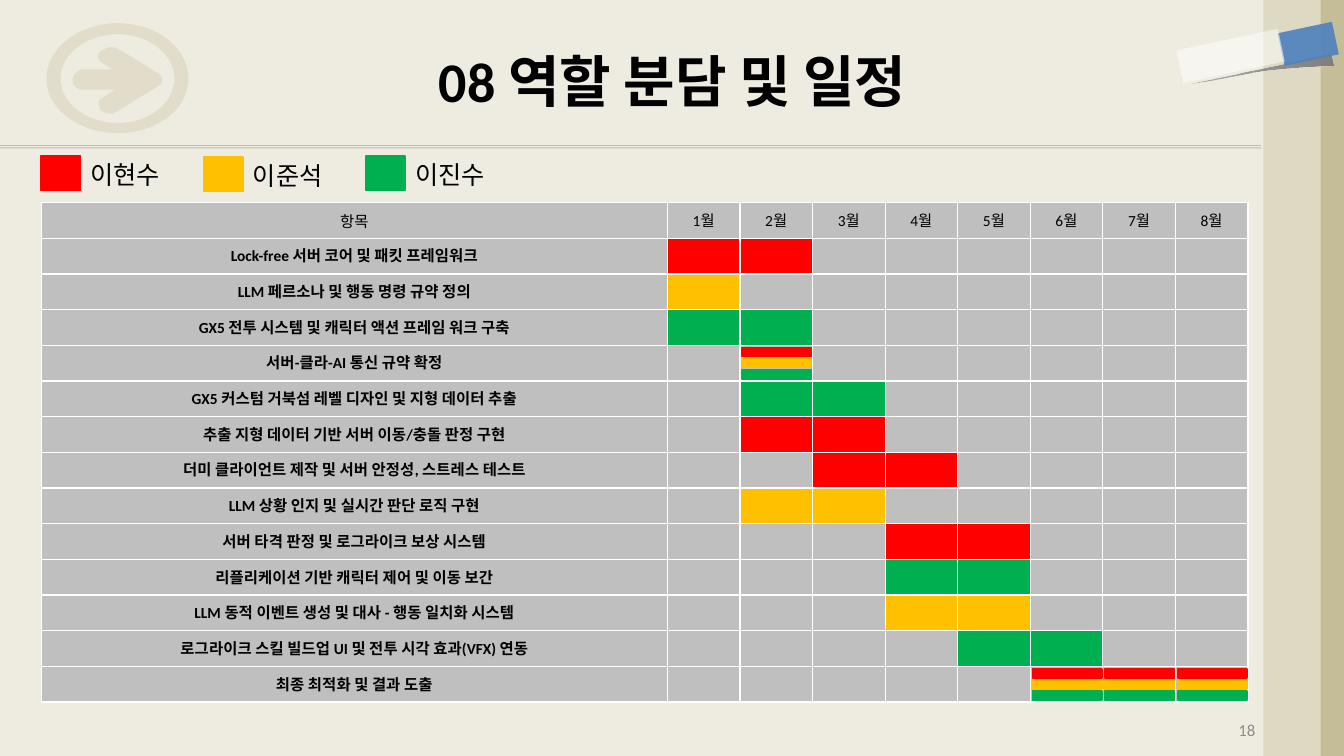
from lxml.etree import SubElement
from pptx import Presentation
from pptx.dml.color import RGBColor
from pptx.enum.shapes import MSO_CONNECTOR, MSO_SHAPE
from pptx.enum.text import MSO_ANCHOR, PP_ALIGN
from pptx.oxml import parse_xml
from pptx.oxml.ns import nsdecls, qn
from pptx.util import Inches, Pt

COLOURS = {
    "paper": "EEECE1", "sand": "DDD9C3", "khaki": "C4BD97", "blue": "4F81BD",
    "white": "FFFFFF", "black": "000000", "shade": "808080", "number": "8C8C8C",
    "cell": "BFBFBF", "red": "FF0000", "amber": "FFC000", "green": "00B050",
}


def write(frame, text, size, colour="black", font="Calibri", bold=False,
          align=PP_ALIGN.LEFT, anchor=None):
    frame.word_wrap = True
    if anchor is not None:
        frame.vertical_anchor = anchor
    paragraph = frame.paragraphs[0]
    paragraph.alignment = align
    run = paragraph.add_run()
    run.text = text
    run.font.name = font
    run.font.size = Pt(size)
    run.font.bold = bold
    run.font.color.rgb = RGBColor.from_string(COLOURS[colour])
    SubElement(run.font._element, qn("a:ea"), typeface=font)


def paint(shape, colour, opacity=100, outline=0, rotation=0):
    shape.shadow.inherit = False
    shape.rotation = rotation
    shape.fill.solid()
    shape.fill.fore_color.rgb = RGBColor.from_string(COLOURS[colour])
    if opacity < 100:
        tint = shape._element.spPr.find(qn("a:solidFill"))[0]
        SubElement(tint, qn("a:alpha"), val=str(opacity * 1000))
    if outline:
        shape.line.color.rgb = RGBColor.from_string(COLOURS[colour])
        shape.line.width = Pt(outline)
    else:
        shape.line.fill.background()


deck = Presentation()
deck.slide_width = Inches(13.33)
deck.slide_height = Inches(7.5)
slide = deck.slides.add_slide(deck.slide_layouts[5])
slide.background.fill.solid()
slide.background.fill.fore_color.rgb = RGBColor.from_string(COLOURS["paper"])

header_rule = slide.shapes.add_connector(
    MSO_CONNECTOR.STRAIGHT, 0, Inches(1.44), Inches(12.51), Inches(1.44))
header_rule.line.color.rgb = RGBColor.from_string(COLOURS["khaki"])
header_rule.line.width = Pt(0.75)
header_rule._element.spPr.append(parse_xml(
    f'<a:effectLst {nsdecls("a")}><a:outerShdw blurRad="0" dist="{Pt(2)}" dir="5400000">'
    f'<a:srgbClr val="{COLOURS["black"]}"><a:alpha val="22000"/></a:srgbClr>'
    '</a:outerShdw></a:effectLst>'))

ARROW = [[
    (1.57, 0.73), (1.49, 0.68, 1.23, 0.51, 1.13, 0.47), (1.07, 0.46, 1.06, 0.48, 1.01, 0.5),
    (0.97, 0.52, 0.96, 0.57, 0.99, 0.61), (1.12, 0.69), (0.81, 0.69),
    (0.74, 0.71, 0.72, 0.76, 0.72, 0.79), (0.71, 0.83, 0.74, 0.88, 0.81, 0.89),
    (1.14, 0.89), (0.99, 0.99), (0.97, 1.02, 0.98, 1.07, 1, 1.09),
    (1.02, 1.11, 1.06, 1.13, 1.12, 1.13), (1.35, 0.99, 1.58, 0.85, 1.58, 0.85),
    (1.61, 0.82, 1.61, 0.81, 1.61, 0.79), (1.61, 0.77, 1.6, 0.75, 1.57, 0.73),
]]
RING = [
    [(1.17, 0.23), (1.56, 0.23, 1.87, 0.48, 1.87, 0.78), (1.87, 1.08, 1.56, 1.32, 1.17, 1.32),
     (0.78, 1.32, 0.46, 1.08, 0.46, 0.78), (0.46, 0.48, 0.78, 0.23, 1.17, 0.23)],
    [(1.17, 0.34), (0.85, 0.34, 0.6, 0.54, 0.6, 0.78), (0.6, 1.02, 0.85, 1.22, 1.17, 1.22),
     (1.48, 1.22, 1.73, 1.02, 1.73, 0.78), (1.73, 0.54, 1.48, 0.34, 1.17, 0.34)],
]
PEN_SHADOW = [[
    (13.2, 0.53), (13.23, 0.65), (12.38, 0.68, 12.2, 0.78, 11.8, 0.83),
    (12.27, 0.73, 12.73, 0.64, 13.2, 0.53),
]]

for left, width, colour in [(12.55, 0.78, "khaki"), (12.53, 0.57, "sand")]:
    side_band = slide.shapes.add_shape(
        MSO_SHAPE.RECTANGLE, Inches(left), 0, Inches(width), deck.slide_height)
    paint(side_band, colour)

for contours, colour, opacity in [
        (ARROW, "khaki", 30), (RING, "khaki", 30), (PEN_SHADOW, "shade", 100)]:
    start_x, start_y = map(Inches, contours[0][0])
    builder = slide.shapes.build_freeform(start_x, start_y, scale=1.0)
    for index, contour in enumerate(contours):
        if index:
            builder.move_to(*map(Inches, contour[0]))
        builder.add_line_segments([
            (Inches(x), Inches(y)) for segment in contour[1:]
            for x, y in zip(segment[::2], segment[1::2])])
    emblem = builder.convert_to_shape()
    paint(emblem, colour, opacity)
    segments = [segment for contour in contours for segment in contour[1:]]
    nodes = iter(list(emblem._element.iter(qn("a:lnTo"))))
    for segment in segments:
        node = next(nodes)
        if len(segment) == 6:
            node.tag = qn("a:cubicBezTo")
            for extra in (next(nodes), next(nodes)):
                node.append(extra[0])
                extra.getparent().remove(extra)

emblem.fill.gradient()
emblem.fill.gradient_angle = 0
for stop, opacity in zip(emblem.fill.gradient_stops, (56, 100)):
    stop.color.rgb = RGBColor.from_string(COLOURS["shade"])
    tint = stop._gs.find(qn("a:srgbClr"))
    SubElement(tint, qn("a:alpha"), val=str(opacity * 1000))

for left, top, height, colour, opacity in [
        (12.81, 0.16, 0.55, "blue", 90), (12.04, 0.04, 1.03, "white", 50)]:
    pen_part = slide.shapes.add_shape(
        MSO_SHAPE.RECTANGLE, Inches(left), Inches(top), Inches(0.33), Inches(height))
    paint(pen_part, colour, opacity, rotation=78)

title = slide.shapes.title
title.left, title.top, title.width, title.height = map(Inches, (0.67, 0.17, 12, 1.25))
write(title.text_frame, "08 역할 분담 및 일정", 40, bold=True,
      align=PP_ALIGN.CENTER, anchor=MSO_ANCHOR.MIDDLE)
page_number = slide.shapes.add_textbox(Inches(9.44), Inches(7.08), Inches(3.11), Inches(0.33))
write(page_number.text_frame, "18", 12, "number",
      align=PP_ALIGN.RIGHT, anchor=MSO_ANCHOR.MIDDLE)

OWNERS = {"red": "이현수", "amber": "이준석", "green": "이진수"}
SHARED = list(OWNERS)
TASKS = [
    ("Lock-free 서버 코어 및 패킷 프레임워크", ["red"], 1, 2),
    ("LLM 페르소나 및 행동 명령 규약 정의", ["amber"], 1, 1),
    ("GX5 전투 시스템 및 캐릭터 액션 프레임 워크 구축", ["green"], 1, 2),
    ("서버-클라-AI 통신 규약 확정", SHARED, 2, 2),
    ("GX5 커스텀 거북섬 레벨 디자인 및 지형 데이터 추출", ["green"], 2, 3),
    ("추출 지형 데이터 기반 서버 이동/충돌 판정 구현", ["red"], 2, 3),
    ("더미 클라이언트 제작 및 서버 안정성, 스트레스 테스트", ["red"], 3, 4),
    ("LLM 상황 인지 및 실시간 판단 로직 구현", ["amber"], 2, 3),
    ("서버 타격 판정 및 로그라이크 보상 시스템", ["red"], 4, 5),
    ("리플리케이션 기반 캐릭터 제어 및 이동 보간", ["green"], 4, 5),
    ("LLM 동적 이벤트 생성 및 대사 - 행동 일치화 시스템", ["amber"], 4, 5),
    ("로그라이크 스킬 빌드업 UI 및 전투 시각 효과(VFX) 연동", ["green"], 5, 6),
    ("최종 최적화 및 결과 도출", SHARED, 6, 8),
]
MONTHS = 8
LEFT, TOP, HEIGHT, TASK_WIDTH, MONTH_WIDTH = 0.41, 2.01, 4.96, 6.21, 0.72
WIDTH = TASK_WIDTH + MONTHS * MONTH_WIDTH
ROW_HEIGHT = HEIGHT / (len(TASKS) + 1)

schedule = slide.shapes.add_table(
    len(TASKS) + 1, MONTHS + 1, Inches(LEFT), Inches(TOP), Inches(WIDTH), Inches(HEIGHT)).table
schedule.first_row = schedule.horz_banding = False
for index, column in enumerate(schedule.columns):
    column.width = Inches(MONTH_WIDTH if index else TASK_WIDTH)
for row in schedule.rows:
    row.height = Inches(ROW_HEIGHT)

for cell in schedule.iter_cells():
    cell.margin_left = cell.margin_right = cell.margin_top = Inches(0.01)
    cell.margin_bottom = 0
    cell.vertical_anchor = MSO_ANCHOR.MIDDLE
    cell.fill.solid()
    cell.fill.fore_color.rgb = RGBColor.from_string(COLOURS["cell"])
    for position, side in enumerate("LRTB"):
        cell._tc.tcPr.insert(position, parse_xml(
            f'<a:ln{side} {nsdecls("a")} w="{Pt(1)}"><a:solidFill>'
            f'<a:srgbClr val="{COLOURS["white"]}"/></a:solidFill></a:ln{side}>'))

write(schedule.cell(0, 0).text_frame, "항목", 11, font="Noto Sans CJK KR", align=PP_ALIGN.CENTER)
for month in range(1, MONTHS + 1):
    write(schedule.cell(0, month).text_frame, f"{month}월", 11, align=PP_ALIGN.CENTER)

for row, (task, owners, first, last) in enumerate(TASKS, 1):
    write(schedule.cell(row, 0).text_frame, task, 11, bold=True, align=PP_ALIGN.CENTER)
    for month in range(first, last + 1):
        if len(owners) == 1:
            fill = schedule.cell(row, month).fill
            fill.fore_color.rgb = RGBColor.from_string(COLOURS[owners[0]])
            continue
        shared_bars = slide.shapes.add_group_shape()
        bar_left = LEFT + TASK_WIDTH + (month - 1) * MONTH_WIDTH + 0.02
        for index, owner in enumerate(owners):
            bar_top = TOP + row * ROW_HEIGHT + 0.02 + index * 0.11
            bar = shared_bars.shapes.add_shape(
                MSO_SHAPE.RECTANGLE, Inches(bar_left), Inches(bar_top), Inches(0.69), Inches(0.09))
            paint(bar, owner, outline=1.25)

for index, (owner, person) in enumerate(OWNERS.items()):
    key_left = LEFT + index * 1.61
    key_top = 1.56 if owner == "amber" else 1.55
    swatch = slide.shapes.add_shape(
        MSO_SHAPE.RECTANGLE, Inches(key_left), Inches(key_top), Inches(0.39), Inches(0.34))
    paint(swatch, owner, outline=1.25)
    person_label = slide.shapes.add_textbox(
        Inches(key_left + 0.39), Inches(key_top - 0.02), Inches(1.22), Inches(0.4))
    write(person_label.text_frame, person, 18)

deck.save("out.pptx")
